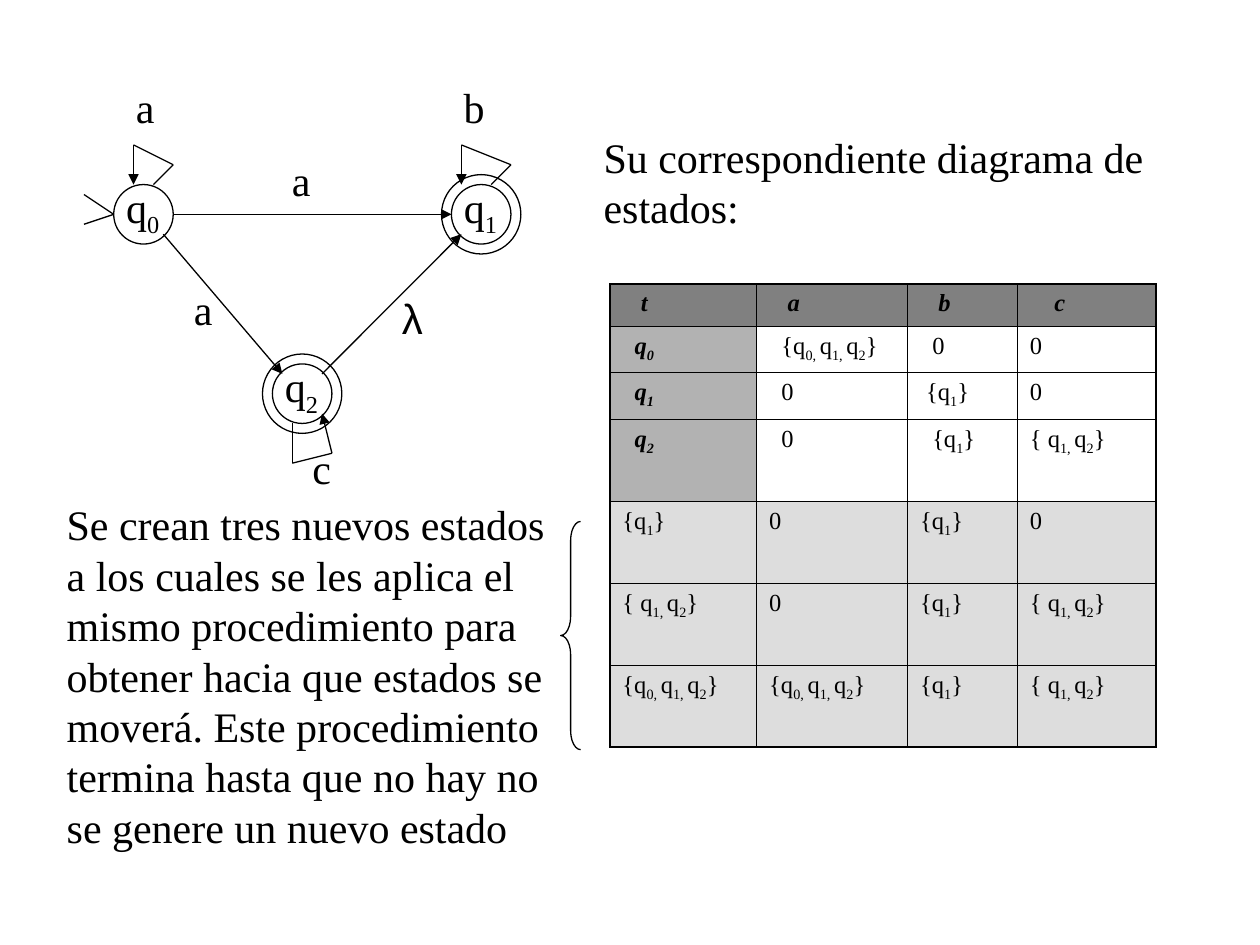
from dataclasses import dataclass
from typing import Any

from lxml.etree import SubElement
from pptx import Presentation
from pptx.dml.color import RGBColor
from pptx.enum.shapes import MSO_CONNECTOR as Connector, MSO_SHAPE as Preset
from pptx.enum.text import MSO_ANCHOR as Anchor, MSO_AUTO_SIZE as AutoSize, PP_ALIGN as Align
from pptx.oxml.ns import qn
from pptx.util import Pt


@dataclass(frozen=True)
class Theme:
    ink: RGBColor = RGBColor(0, 0, 0)
    header: RGBColor = RGBColor(0x80, 0x80, 0x80)
    state: RGBColor = RGBColor(0xB2, 0xB2, 0xB2)
    new_state: RGBColor = RGBColor(0xDD, 0xDD, 0xDD)
    serif: str = "Times New Roman"
    sans: str = "Arial"
    body_size: float = 24
    cell_size: float = 14
    stroke: float = 0.75
    inner_border: float = 0.45
    outer_border: float = 1.08


@dataclass(frozen=True)
class State:
    name: str
    x: float
    y: float
    final: bool = False

    def at(self, dx: float, dy: float) -> tuple[float, float]:
        return self.x + dx * UNIT, self.y + dy * UNIT


@dataclass(frozen=True)
class Transition:
    points: tuple[tuple[float, float], ...]
    arrow: bool = True


@dataclass(frozen=True)
class Label:
    text: str
    box: tuple[float, float, float, float]
    font: str
    wrap: bool = False


@dataclass(frozen=True)
class Entry:
    text: str
    indent: int = 0


THEME = Theme()
UNIT = 5.67
SPACE = 3.5
SUBSCRIPT = "-25000"
FRAME = {"margin_left": Pt(7.2), "margin_right": Pt(7.2),
         "margin_top": Pt(3.6), "margin_bottom": Pt(3.6)}

Q0 = State("q_0", 82, 122.5)
Q1 = State("q_1", 275, 122.5, final=True)
Q2 = State("q_2", 172.7, 225, final=True)
STATES = (Q0, Q1, Q2)

TRANSITIONS = (
    Transition((Q0.at(3, 0), Q1.at(-3, 0))),
    Transition((Q0.at(2, 2), Q2.at(-2, -2))),
    Transition((Q2.at(2, -2), Q1.at(-2, 2))),
    Transition((Q0.at(1, -3), Q0.at(3, -5), Q0.at(-1, -7), Q0.at(-1, -3))),
    Transition((Q1.at(1, -3), Q1.at(3, -5), Q1.at(-2, -7), Q1.at(-2, -3))),
    Transition((Q2.at(-1, 3), Q2.at(-1, 7), Q2.at(3, 6), Q2.at(2, 2))),
    Transition((Q0.at(-6, 1), Q0.at(-3, 0), Q0.at(-6, -2)), arrow=False),
)

LABELS = (
    Label("a", (70.6, 43.2, 25, 36), THEME.serif),
    Label("b", (257.8, 43.2, 26, 36), THEME.serif),
    Label("a", (159.8, 85, 25, 36), THEME.serif),
    Label("a", (103.7, 158.4, 25, 36), THEME.serif),
    Label("λ", (222.5, 163.4, 27, 36), THEME.sans),
    Label("c", (171.4, 249.1, 25, 36), THEME.serif),
    *(Label(s.name, (s.x - 17, s.y - 22.5, 35, 40), THEME.serif) for s in STATES),
    Label("Se crean tres nuevos estados a los cuales se les aplica el mismo "
          "procedimiento para obtener hacia que estados se moverá. Este "
          "procedimiento termina hasta que no hay no se genere un nuevo estado",
          (31, 281.5, 295, 209), THEME.serif, wrap=True),
)

HEADING = Label("Su correspondiente diagrama de estados:",
                (337.7, 71.3, 353, 65), THEME.serif, wrap=True)

EMPTY = "0"
ONE = "{q_1_}"
ONE_TWO = "{ q_1, _q_2_}"
ALL = "{q_0, _q_1, _q_2_}"
ROWS = (
    (Entry("t", 3), Entry("a", 3), Entry("b", 3), Entry("c", 4)),
    (Entry("q_0", 2), Entry(ALL, 2), Entry(EMPTY, 2), Entry(EMPTY)),
    (Entry("q_1", 2), Entry(EMPTY, 2), Entry(ONE, 1), Entry(EMPTY)),
    (Entry("q_2", 2), Entry(EMPTY, 2), Entry(ONE, 2), Entry(ONE_TWO)),
    (Entry(ONE), Entry(EMPTY), Entry(ONE), Entry(EMPTY)),
    (Entry(ONE_TWO), Entry(EMPTY), Entry(ONE), Entry(ONE_TWO)),
    (Entry(ALL), Entry(ALL), Entry(ONE), Entry(ONE_TWO)),
)
COLUMN_WIDTHS = (83.9, 86.2, 62.8, 79.2)
ROW_HEIGHTS = (24.2, 26.6, 26.6) + (46.8,) * 4
FIRST_NEW_ROW = 4


def apply(target: Any, values: dict[str, Any]) -> None:
    for attribute, value in values.items():
        setattr(target, attribute, value)


def write(paragraph: Any, text: str, size: float, font: str, strong: bool = False) -> None:
    for index, part in enumerate(text.split("_")):
        run = paragraph.add_run()
        run.text = part
        apply(run.font, {"name": font, "size": Pt(size), "bold": strong, "italic": strong})
        run.font.color.rgb = THEME.ink
        if index % 2:
            run._r.get_or_add_rPr().set("baseline", SUBSCRIPT)


def fill_label(shape: Any, label: Label) -> None:
    frame = shape.text_frame
    apply(frame, FRAME | {"word_wrap": label.wrap, "vertical_anchor": Anchor.TOP,
                          "auto_size": AutoSize.SHAPE_TO_FIT_TEXT})
    frame.paragraphs[0].alignment = Align.LEFT
    write(frame.paragraphs[0], label.text, THEME.body_size, label.font)


def draw_outline(shapes: Any, preset: Any, *box: float) -> Any:
    outline = shapes.add_shape(preset, *map(Pt, box))
    outline.shadow.inherit = False
    outline.fill.background()
    outline.line.color.rgb = THEME.ink
    outline.line.width = Pt(THEME.stroke)
    return outline


def draw_state(shapes: Any, state: State) -> None:
    for radius in (3, 4) if state.final else (3,):
        draw_outline(shapes, Preset.OVAL, *state.at(-radius, -radius),
                     2 * radius * UNIT, 2 * radius * UNIT)


def draw_transition(shapes: Any, transition: Transition) -> None:
    points = transition.points
    for start, end in zip(points, points[1:]):
        segment = shapes.add_connector(Connector.STRAIGHT, *map(Pt, start + end))
        segment.line.color.rgb = THEME.ink
        segment.line.width = Pt(THEME.stroke)
        SubElement(segment._element.spPr, qn("a:effectLst"))
        if transition.arrow and end == points[-1]:
            SubElement(segment.line._get_or_add_ln(), qn("a:tailEnd"), type="triangle")


def draw_border(cell: Any, side: str, outer: bool) -> None:
    width = Pt(THEME.outer_border if outer else THEME.inner_border)
    line = SubElement(cell._tc.get_or_add_tcPr(), qn(f"a:ln{side}"), w=str(int(width)))
    SubElement(SubElement(line, qn("a:solidFill")), qn("a:srgbClr"), val=str(THEME.ink))


def fill_cell(cell: Any, entry: Entry, row: int, column: int) -> None:
    edges = {"L": column == 0, "R": column == len(COLUMN_WIDTHS) - 1,
             "T": row == 0, "B": row == len(ROWS) - 1}
    for side, outer in edges.items():
        draw_border(cell, side, outer)
    heading = row == 0 or (column == 0 and row < FIRST_NEW_ROW)
    if heading or row >= FIRST_NEW_ROW:
        cell.fill.solid()
        cell.fill.fore_color.rgb = (THEME.header if row == 0 else
                                    THEME.state if heading else THEME.new_state)
    else:
        cell.fill.background()
    apply(cell, FRAME | {"margin_left": Pt(7.2 + SPACE * entry.indent)})
    paragraph = cell.text_frame.paragraphs[0]
    paragraph.space_before = Pt(3.5)
    write(paragraph, entry.text, THEME.cell_size, THEME.serif, heading)


def draw_table(shapes: Any) -> None:
    table = shapes.add_table(len(ROWS), len(COLUMN_WIDTHS), Pt(348.5), Pt(162.2),
                             Pt(sum(COLUMN_WIDTHS)), Pt(sum(ROW_HEIGHTS))).table
    apply(table, {"first_row": False, "horz_banding": False})
    for column, width in zip(table.columns, COLUMN_WIDTHS):
        column.width = Pt(width)
    for r, (row, height) in enumerate(zip(table.rows, ROW_HEIGHTS)):
        row.height = Pt(height)
        for c, entry in enumerate(ROWS[r]):
            fill_cell(table.cell(r, c), entry, r, c)


def main() -> None:
    deck = Presentation()
    apply(deck, {"slide_width": Pt(720), "slide_height": Pt(540)})
    slide = deck.slides.add_slide(deck.slide_layouts[5])
    shapes = slide.shapes
    heading = shapes.title
    apply(heading, dict(zip(("left", "top", "width", "height"), map(Pt, HEADING.box))))
    fill_label(heading, HEADING)
    for state in STATES:
        draw_state(shapes, state)
    for transition in TRANSITIONS:
        draw_transition(shapes, transition)
    for label in LABELS:
        fill_label(shapes.add_textbox(*map(Pt, label.box)), label)
    draw_table(shapes)
    brace = draw_outline(shapes, Preset.LEFT_BRACE, 320.4, 298, 11.4, 130.4)
    brace.adjustments[0] = 0.95
    deck.save("out.pptx")


if __name__ == "__main__":
    main()
